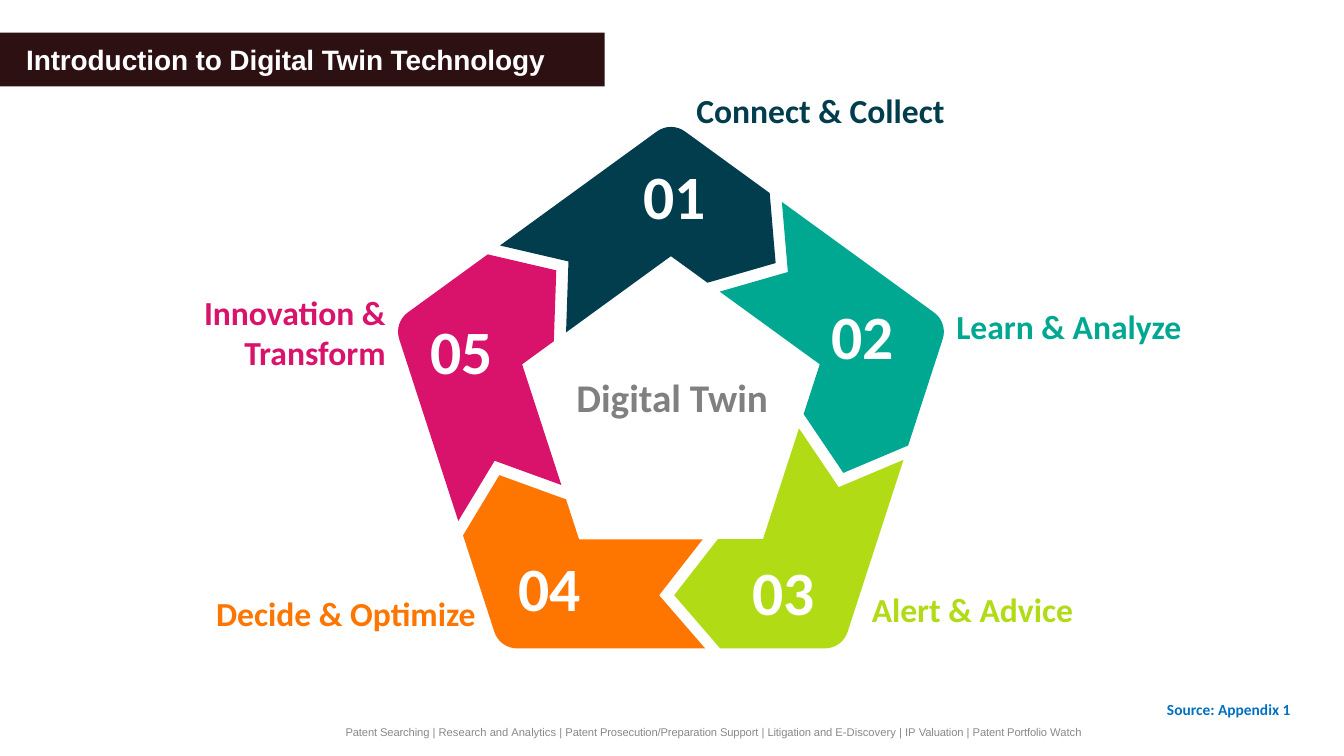
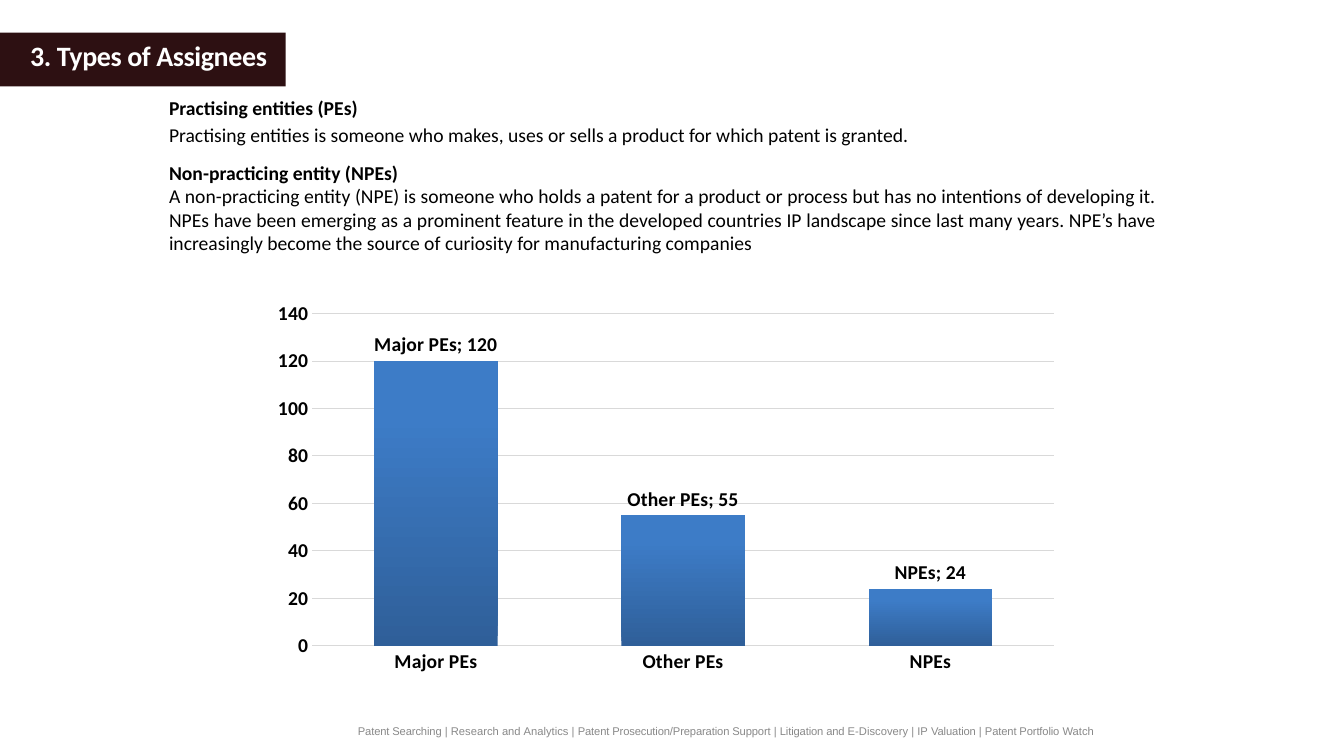
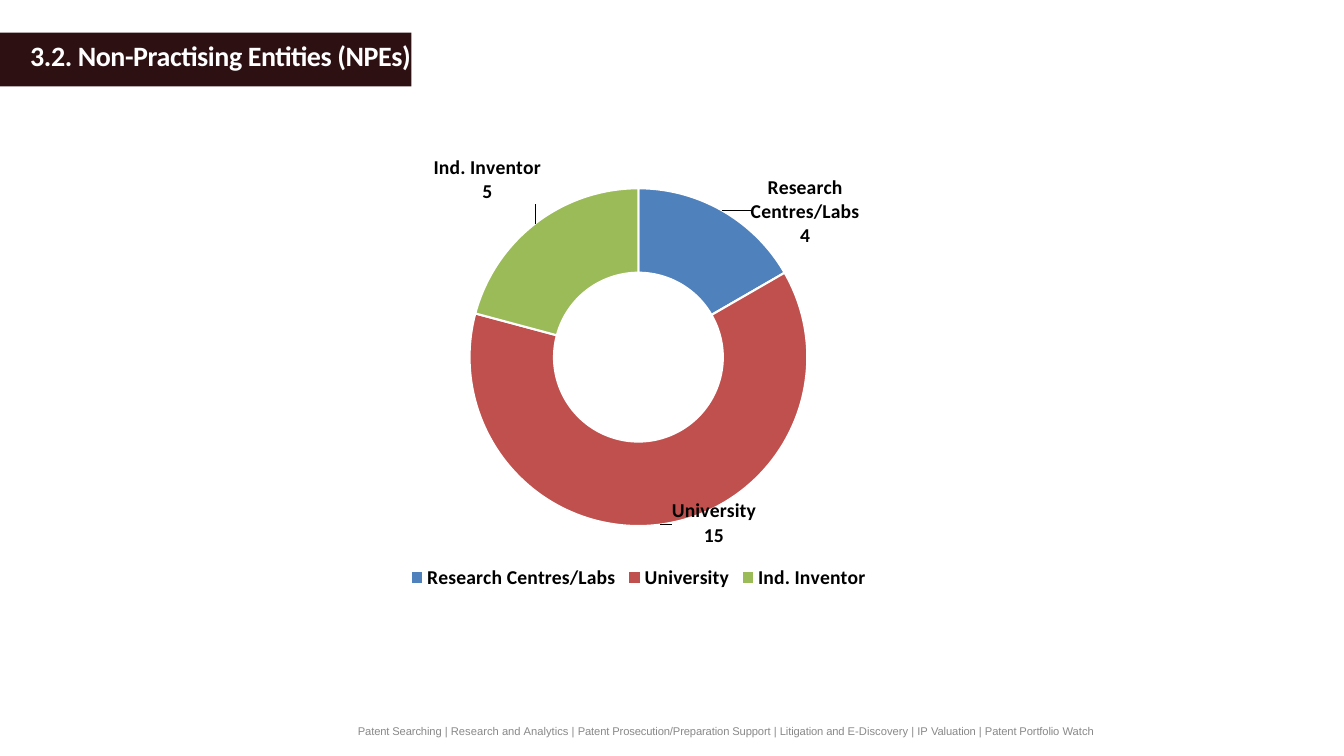
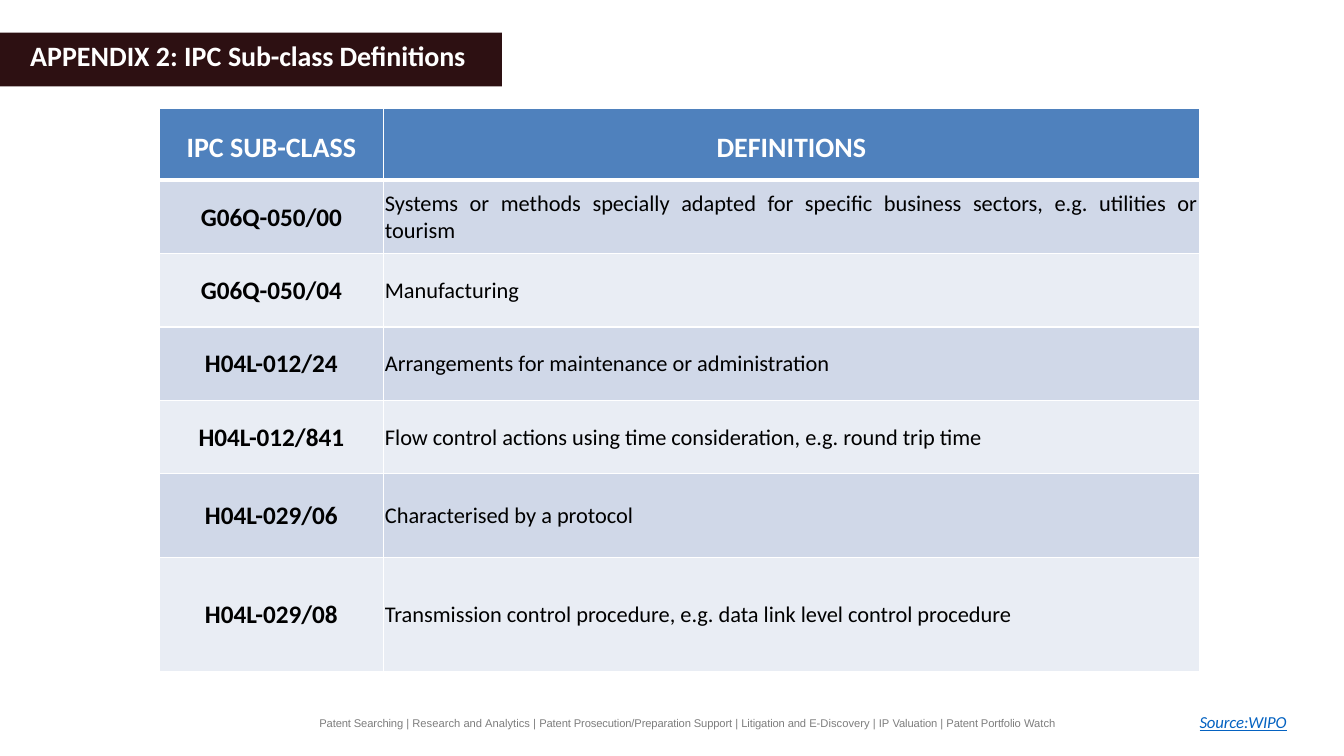
import copy
import itertools
import math

import pptx
import pptx.chart.data
import pptx.dml.color
import pptx.enum.chart
import pptx.enum.dml
import pptx.enum.shapes
import pptx.enum.text
import pptx.oxml
import pptx.oxml.ns
import pptx.util

Cm = pptx.util.Cm
Pt = pptx.util.Pt
ALIGN = pptx.enum.text.PP_ALIGN
ANCHOR = pptx.enum.text.MSO_ANCHOR

COLORS = {
    "band": "2D1012", "white": "FFFFFF", "black": "000000",
    "footer": "898989", "footer_dark": "7E7E7E", "gray": "808080",
    "navy": "013D4D", "teal": "00A891", "lime": "B1DB15",
    "orange": "FE7600", "pink": "D9126B",
    "source": "0070C0", "link": "0462C1", "grid": "D9D9D9",
    "bar_dark": "2F5F99", "bar_light": "3D7CC7",
    "blue": "4F81BD", "red": "C0504D", "green": "9BBB59",
    "row_odd": "D0D8E8", "row_even": "E9EDF4",
}

FOOTER = [
    "Patent Searching ", "| Research ", "and ", "Analytics | ",
    "Patent Prosecution/Preparation Support ", "| ", "Litigation and ",
    "E-Discovery | IP ", "Valuation ", "| ", "Patent Portfolio ", "Watch",
]


def rgb(name):
    return pptx.dml.color.RGBColor.from_string(COLORS[name])


def chart_xml(body):
    return pptx.oxml.parse_xml(body.replace(">", f" {pptx.oxml.ns.nsdecls('c')}>", 1))


def set_font(font, size, color="black", bold=False, name="Calibri"):
    font.size, font.bold, font.name = Pt(size), bold, name
    font.color.rgb = rgb(color)


class Slides:
    """Holds the deck, its style and the page being drawn."""

    def __init__(self):
        self.deck = pptx.Presentation()
        self.deck.slide_width, self.deck.slide_height = Cm(33.87), Cm(19.05)
        self.page = None

    def start(self, spans, band_width, left=0.76, top=0.94, font="Calibri"):
        """Adds a page with its title, a list of (words, spacing), on a dark band."""
        self.page = self.deck.slides.add_slide(self.deck.slide_layouts[5])
        title = self.page.shapes.title
        title.left, title.top, title.width, title.height = (
            Cm(left), Cm(top), Cm(14.48), Cm(0.91))
        para = self.frame(title, ANCHOR.TOP, (0, 0.03, 0, 0)).paragraphs[0]
        para.alignment, para.space_before = ALIGN.LEFT, Pt(1)
        for words, spacing in spans:
            self.span(para, words, 20, "white", True, font, spacing)
        band = self.page.shapes.add_shape(
            pptx.enum.shapes.MSO_SHAPE.RECTANGLE, 0, Cm(0.82), Cm(band_width), Cm(1.36))
        self.paint(band, "band")
        title.element.addprevious(band.element)

    def footer(self, left, top, color="footer"):
        para = self.box(left, top, 19.18, 0.41, insets=(0, 0.03, 0, 0)).paragraphs[0]
        para.space_before = Pt(1)
        for words, spacing in zip(FOOTER, itertools.cycle([-0.1, 0])):
            self.span(para, words, 8, color, font="Arial", spacing=spacing)

    def paint(self, shape, color):
        shape.shadow.inherit = False
        shape.fill.solid()
        shape.fill.fore_color.rgb = rgb(color)
        shape.line.fill.background()

    def frame(self, shape, anchor, insets, wrap=True):
        frame = shape.text_frame
        frame.auto_size = pptx.enum.text.MSO_AUTO_SIZE.NONE
        frame.word_wrap, frame.vertical_anchor = wrap, anchor
        (frame.margin_left, frame.margin_top,
         frame.margin_right, frame.margin_bottom) = map(Cm, insets)
        return frame

    def box(self, left, top, width, height, anchor=ANCHOR.TOP,
            insets=(0.25, 0.13, 0.25, 0.13), wrap=True):
        box = self.page.shapes.add_textbox(Cm(left), Cm(top), Cm(width), Cm(height))
        return self.frame(box, anchor, insets, wrap)

    def span(self, para, words, size, color="black", bold=False, font="Calibri", spacing=0):
        span = para.add_run()
        span.text = words
        set_font(span.font, size, color, bold, font)
        if spacing:
            span.font._element.set("spc", str(round(spacing * 100)))
        return span

    def label(self, words, left, top, width, height, size, color, align=ALIGN.LEFT, **frame):
        """Adds a text box with one bold line."""
        para = self.box(left, top, width, height, **frame).paragraphs[0]
        para.alignment = align
        self.span(para, words, size, color, True)

    def outline(self, points, color):
        points = [(Cm(x), Cm(y)) for x, y in points]
        builder = self.page.shapes.build_freeform(*points[0], scale=1.0)
        builder.add_line_segments(points[1:], close=True)
        self.paint(builder.convert_to_shape(), color)

    def chart(self, kind, left, top, width, height, values, plot_area):
        """Adds a one-series chart; plot_area is x, y, w, h as shares of the chart."""
        data = pptx.chart.data.CategoryChartData()
        data.categories = list(values)
        data.add_series("Series 1", list(values.values()))
        chart = self.page.shapes.add_chart(
            kind, Cm(left), Cm(top), Cm(width), Cm(height), data).chart
        chart.has_title = chart.has_legend = False
        set_font(chart.font, 14, bold=True)
        labels = chart.plots[0].series[0].data_labels
        labels.show_value = labels.show_category_name = True
        set_font(labels.font, 14, bold=True)
        area = chart.element.xpath(".//c:plotArea")[0]
        for layout in area.xpath("c:layout"):
            area.remove(layout)
        sizes = "".join(f'<c:{key} val="{value}"/>' for key, value in zip("xywh", plot_area))
        area.insert(0, chart_xml(
            '<c:layout><c:manualLayout><c:layoutTarget val="inner"/>'
            '<c:xMode val="edge"/><c:yMode val="edge"/>'
            f'{sizes}</c:manualLayout></c:layout>'))
        return chart

    def place_labels(self, chart, offsets):
        """Puts name and value on two lines and shifts each label by shares of the chart."""
        labels = chart.element.xpath(".//c:ser/c:dLbls")[0]
        labels.xpath("c:showBubbleSize")[0].addnext(
            chart_xml("<c:separator>\n</c:separator>"))
        shared = [part for part in labels if not part.tag.endswith("showLeaderLines")]
        for index, (x, y) in enumerate(offsets):
            label = chart_xml(
                f'<c:dLbl><c:idx val="{index}"/><c:layout><c:manualLayout>'
                f'<c:x val="{x}"/><c:y val="{y}"/></c:manualLayout></c:layout></c:dLbl>')
            for part in shared:
                label.append(copy.deepcopy(part))
            labels.insert(index, label)

    def table(self, left, top, widths, heights, rows):
        table = self.page.shapes.add_table(
            len(rows), len(widths), Cm(left), Cm(top),
            Cm(sum(widths)), Cm(sum(heights))).table
        for column, width in zip(table.columns, widths):
            column.width = Cm(width)
        for row, height in zip(table.rows, heights):
            row.height = Cm(height)
        for (r, row), c in itertools.product(enumerate(rows), range(len(widths))):
            self.cell(table.cell(r, c), row[c], r, c)

    def cell(self, cell, words, row, column):
        para = cell.text_frame.paragraphs[0]
        cell.fill.solid()
        if row == 0:
            cell.fill.fore_color.rgb = rgb("blue")
            para.alignment, para.line_spacing = ALIGN.CENTER, 1.5
            self.span(para, words, 20, "white", True)
        else:
            cell.fill.fore_color.rgb = rgb("row_odd" if row % 2 else "row_even")
            cell.vertical_anchor = ANCHOR.MIDDLE
            cell.margin_left = cell.margin_top = cell.margin_right = Cm(0.03)
            cell.margin_bottom = 0
            para.alignment = ALIGN.JUSTIFY if column else ALIGN.CENTER
            self.span(para, words, 16 if column else 18, bold=column == 0)
        properties = cell._tc.get_or_add_tcPr()
        for index, side in enumerate(["lnL", "lnR", "lnT", "lnB"]):
            thick = (row, side) in [(0, "lnB"), (1, "lnT")]
            properties.insert(index, pptx.oxml.parse_xml(
                f'<a:{side} {pptx.oxml.ns.nsdecls("a")} w="{Pt(3 if thick else 1)}">'
                f'<a:solidFill><a:srgbClr val="{COLORS["white"]}"/></a:solidFill></a:{side}>'))


def pentagon_arrow(index):
    """Outline of one of five arrows that chase each other round a pentagon."""
    center_x, center_y = 16.91, 10.4
    outer, middle, inner = 5.94, 4.6, 3.19
    corner_radius, gap = 0.6, 0.38
    joint_shifts = [-0.15, 0, 0.18, 0, -0.08]

    def spot(degrees, out, along=0):
        angle = math.radians(degrees)
        return (center_x + out * math.cos(angle) - along * math.sin(angle),
                center_y + out * math.sin(angle) + along * math.cos(angle))

    def chevron(side, back):
        shift = joint_shifts[side % 5] - back
        return [spot(72 * side - 126, out, along + shift)
                for out, along in [(outer, -0.86), (middle, 0.3), (inner, -0.8)]]

    corner = 72 * index - 90
    half_cosine = math.cos(math.radians(36))
    round_x, round_y = spot(corner, (outer - corner_radius) / half_cosine)
    arc = []
    for step in range(-36, 37, 9):
        angle = math.radians(corner + step)
        arc.append((round_x + corner_radius * math.cos(angle),
                    round_y + corner_radius * math.sin(angle)))
    tail, notch, tail_end = chevron(index, 0)
    return [tail, *arc, *chevron(index + 1, gap),
            spot(corner, inner / half_cosine), tail_end, notch]


def introduction(slides):
    slides.start([("Introduction to Digital Twin Technology", -0.1)], 15.24, 0.66, 1.04, "Arial")
    slides.footer(8.71, 18.24)
    left, right = ALIGN.LEFT, ALIGN.RIGHT
    steps = [
        ("navy", (14.78, 3.84), "Connect & Collect", (17.55, 2.13, 8.15, 1.27), left),
        ("teal", (19.51, 7.37), "Learn & Analyze", (24.1, 7.59, 6.86, 1.27), left),
        ("lime", (17.53, 13.84), "Alert & Advice", (21.97, 14.71, 6.55, 1.27), left),
        ("orange", (11.63, 13.72), "Decide & Optimize", (3.84, 14.81, 8.15, 1.27), right),
        ("pink", (9.42, 7.75), "Innovation & Transform", (1.72, 7.21, 8, 2.31), right),
    ]
    for index, (color, number_at, caption, caption_at, align) in enumerate(steps):
        slides.outline(pentagon_arrow(index), color)
        slides.label(f"{index + 1:02}", *number_at, 4.45, 2.13, 44, "white", ALIGN.CENTER)
        slides.label(caption, *caption_at, 24, color, align,
                     anchor=ANCHOR.BOTTOM, insets=(0, 0.13, 0, 0.13))
    slides.label("Digital Twin", 13.89, 9.27, 6.1, 1.45, 28, "gray", ALIGN.CENTER)
    slides.label("Source: Appendix 1", 29.16, 17.5, 3.66, 0.74, 11, "source", wrap=False)


def assignee_types(slides):
    slides.start([("3. Types of Assignees", -0.3)], 7.2)
    slides.footer(9.02, 18.22)
    chart = slides.chart(
        pptx.enum.chart.XL_CHART_TYPE.COLUMN_CLUSTERED, 6.65, 7.42, 20.32, 9.73,
        {"Major PEs": 120, "Other PEs": 55, "NPEs": 24}, (0.06, 0.05, 0.92, 0.86))
    plot = chart.plots[0]
    plot.gap_width, plot.overlap, plot.vary_by_categories = 100, -24, False
    bars = plot.series[0]
    bars.data_labels.position = pptx.enum.chart.XL_LABEL_POSITION.OUTSIDE_END
    fill = bars.format.fill
    fill.gradient()
    fill.gradient_angle = 90
    for stop, position, color in zip(fill.gradient_stops, (0, 0.8), ("bar_dark", "bar_light")):
        stop.position, stop.color.rgb = position, rgb(color)
    for axis in (chart.category_axis, chart.value_axis):
        axis.major_tick_mark = axis.minor_tick_mark = pptx.enum.chart.XL_TICK_MARK.NONE
        set_font(axis.tick_labels.font, 14, bold=True)
    baseline = chart.category_axis.format.line
    baseline.width, baseline.color.rgb = Pt(1), rgb("grid")
    values = chart.value_axis
    values.minimum_scale, values.maximum_scale, values.major_unit = 0, 140, 20
    values.format.line.fill.background()
    grid = values.major_gridlines.format.line
    grid.width, grid.color.rgb = Pt(0.75), rgb("grid")

    frame = slides.box(4.01, 2.29, 25.4, 8.08)
    definitions = [
        ("Practising entities (PEs)",
         "Practising entities is someone who makes, uses or sells a product for which "
         "patent is granted."),
        ("Non-practicing entity (NPEs)",
         "A non-practicing entity (NPE) is someone who holds a patent for a product or "
         "process but has no intentions of developing it. NPEs have been emerging as a "
         "prominent feature in the developed countries IP landscape since last many years. "
         "NPE’s have increasingly become the source of curiosity for manufacturing companies"),
    ]
    for index, words in enumerate(itertools.chain(*definitions)):
        para = frame.add_paragraph() if index else frame.paragraphs[0]
        para.alignment = ALIGN.JUSTIFY
        slides.span(para, words, 14, bold=index % 2 == 0)
    frame.paragraphs[1].line_spacing, frame.paragraphs[1].space_after = 1.15, Pt(10)


def non_practising(slides):
    slides.start([("3.2. Non-Practising Entities (NPEs)", -0.3)], 10.37)
    slides.footer(9.02, 18.22)
    chart = slides.chart(
        pptx.enum.chart.XL_CHART_TYPE.DOUGHNUT, 6.78, 3.61, 18.62, 11.35,
        {"Research Centres/Labs": 4, "University": 15, "Ind. Inventor": 5},
        (0.27, 0.1, 0.46, 0.75))
    chart.has_legend = True
    chart.legend.position = pptx.enum.chart.XL_LEGEND_POSITION.BOTTOM
    chart.legend.include_in_layout = False
    set_font(chart.legend.font, 14, bold=True)
    chart.element.xpath(".//c:holeSize")[0].set("val", "75")
    for index, color in enumerate(["blue", "red", "green"]):
        look = chart.plots[0].series[0].points[index].format
        look.fill.solid()
        look.fill.fore_color.rgb = rgb(color)
        look.line.width, look.line.color.rgb = Pt(1.5), rgb("white")
    slides.place_labels(chart, [(0.14, -0.08), (0.08, 0.09), (-0.1, -0.17)])


def subclass_definitions(slides):
    slides.start([("APPENDIX 2: IPC ", 0), ("Sub-class Definitions", -0.1)], 12.65)
    slides.footer(8.05, 18.01, "footer_dark")
    para = slides.box(30.23, 17.91, 3.15, 0.56, insets=(0, 0.03, 0, 0)).paragraphs[0]
    para.space_before = Pt(1)
    source = slides.span(para, "Source:WIPO", 12, "link", spacing=-0.1)
    source.font.italic = source.font.underline = True
    slides.table(4.01, 2.74, [5.66, 20.55], [1.8] + [1.85] * 4 + [2.11, 2.87], [
        ("IPC SUB-CLASS", "DEFINITIONS"),
        ("G06Q-050/00", "Systems or methods specially adapted for specific business "
                        "sectors, e.g. utilities or tourism"),
        ("G06Q-050/04", "Manufacturing"),
        ("H04L-012/24", "Arrangements for maintenance or administration"),
        ("H04L-012/841", "Flow control actions using time consideration, e.g. round trip time"),
        ("H04L-029/06", "Characterised by a protocol"),
        ("H04L-029/08", "Transmission control procedure, e.g. data link level control procedure"),
    ])


def main():
    slides = Slides()
    for draw in (introduction, assignee_types, non_practising, subclass_definitions):
        draw(slides)
    slides.deck.save("out.pptx")


if __name__ == "__main__":
    main()
